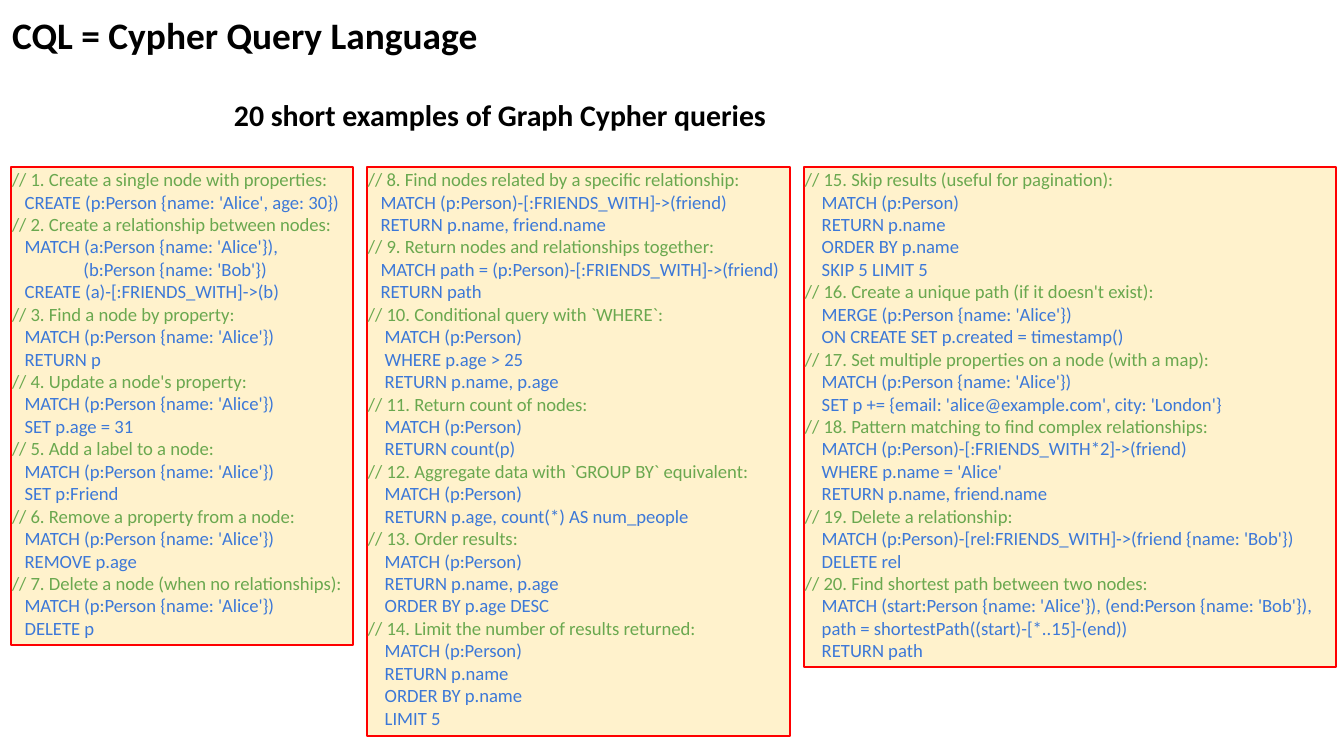
from dataclasses import dataclass

from pptx import Presentation
from pptx.dml.color import RGBColor
from pptx.enum.shapes import MSO_SHAPE
from pptx.enum.text import MSO_ANCHOR, MSO_AUTO_SIZE, PP_ALIGN
from pptx.util import Emu, Pt

TITLE = "CQL = Cypher Query Language"
SUBTITLE = "20 short examples of Graph Cypher queries"

# Each column: width in px, then (comment, code lines) per query
COLUMNS = [
    (342, [
        ("Create a single node with properties:",
         ["CREATE (p:Person {name: 'Alice', age: 30})"]),
        ("Create a relationship between nodes:",
         ["MATCH (a:Person {name: 'Alice'}),",
          "              (b:Person {name: 'Bob'})",
          "CREATE (a)-[:FRIENDS_WITH]->(b)"]),
        ("Find a node by property:",
         ["MATCH (p:Person {name: 'Alice'})", "RETURN p"]),
        ("Update a node's property:",
         ["MATCH (p:Person {name: 'Alice'})", "SET p.age = 31"]),
        ("Add a label to a node:",
         ["MATCH (p:Person {name: 'Alice'})", "SET p:Friend"]),
        ("Remove a property from a node:",
         ["MATCH (p:Person {name: 'Alice'})", "REMOVE p.age"]),
        ("Delete a node (when no relationships):",
         ["MATCH (p:Person {name: 'Alice'})", "DELETE p"]),
    ]),
    (423, [
        ("Find nodes related by a specific relationship:",
         ["MATCH (p:Person)-[:FRIENDS_WITH]->(friend)",
          "RETURN p.name, friend.name"]),
        ("Return nodes and relationships together:",
         ["MATCH path = (p:Person)-[:FRIENDS_WITH]->(friend)",
          "RETURN path"]),
        ("Conditional query with `WHERE`:",
         ["MATCH (p:Person)", "WHERE p.age > 25", "RETURN p.name, p.age"]),
        ("Return count of nodes:",
         ["MATCH (p:Person)", "RETURN count(p)"]),
        ("Aggregate data with `GROUP BY` equivalent:",
         ["MATCH (p:Person)", "RETURN p.age, count(*) AS num_people"]),
        ("Order results:",
         ["MATCH (p:Person)", "RETURN p.name, p.age",
          "ORDER BY p.age DESC"]),
        ("Limit the number of results returned:",
         ["MATCH (p:Person)", "RETURN p.name", "ORDER BY p.name",
          "LIMIT 5"]),
    ]),
    (532, [
        ("Skip results (useful for pagination):",
         ["MATCH (p:Person)", "RETURN p.name", "ORDER BY p.name",
          "SKIP 5 LIMIT 5"]),
        ("Create a unique path (if it doesn't exist):",
         ["MERGE (p:Person {name: 'Alice'})",
          "ON CREATE SET p.created = timestamp()"]),
        ("Set multiple properties on a node (with a map):",
         ["MATCH (p:Person {name: 'Alice'})",
          "SET p += {email: 'alice@example.com', city: 'London'}"]),
        ("Pattern matching to find complex relationships:",
         ["MATCH (p:Person)-[:FRIENDS_WITH*2]->(friend)",
          "WHERE p.name = 'Alice'", "RETURN p.name, friend.name"]),
        ("Delete a relationship:",
         ["MATCH (p:Person)-[rel:FRIENDS_WITH]->(friend {name: 'Bob'})",
          "DELETE rel"]),
        ("Find shortest path between two nodes:",
         ["MATCH (start:Person {name: 'Alice'}), (end:Person {name: 'Bob'}),",
          "path = shortestPath((start)-[*..15]-(end))", "RETURN path"]),
    ]),
]


@dataclass(frozen=True)
class Theme:
    font: str = "Calibri"
    ink: str = "000000"
    note: str = "6AA84F"
    code: str = "3C78D8"
    fill: str = "FFF2CC"
    edge: str = "FF0000"
    title: int = 20
    subtitle: int = 16
    body: int = 10


THEME = Theme()
LEFT, TOP, GAP = 11, 167, 14
PITCH = 22.75  # px per line of code


def px(n):
    return Emu(round(n * 914400 / 134.4))


def place(shape, x, y, w, h):
    shape.left, shape.top, shape.width, shape.height = map(px, (x, y, w, h))


def write(shape, lines, size, bold=False):
    """Fill the shape with one paragraph per (text, colour) pair."""
    frame = shape.text_frame
    frame.word_wrap = True
    frame.auto_size = MSO_AUTO_SIZE.SHAPE_TO_FIT_TEXT
    frame.vertical_anchor = MSO_ANCHOR.TOP
    frame.margin_left = frame.margin_right = px(1)
    frame.margin_top = frame.margin_bottom = px(1)
    for i, (text, color) in enumerate(lines):
        para = frame.add_paragraph() if i else frame.paragraphs[0]
        para.alignment = PP_ALIGN.LEFT
        run = para.add_run()
        run.text = text
        run.font.name = THEME.font
        run.font.size = Pt(size)
        run.font.bold = bold
        run.font.color.rgb = RGBColor.from_string(color)


def listing(queries, first):
    """Number the queries from first and indent their code."""
    lines = []
    for num, (note, code) in enumerate(queries, first):
        indent = " " * (3 if num < 10 else 4)
        lines.append((f"// {num}. {note}", THEME.note))
        lines += [(indent + line, THEME.code) for line in code]
    return lines


def main():
    prs = Presentation()
    prs.slide_width, prs.slide_height = px(1344), px(756)
    slide = prs.slides.add_slide(prs.slide_layouts[5])

    title = slide.shapes.title
    place(title, LEFT, 11, 493, 48)
    write(title, [(TITLE, THEME.ink)], THEME.title, True)

    subtitle = slide.shapes.add_textbox(0, 0, 0, 0)
    place(subtitle, 233, 96, 571, 39)
    write(subtitle, [(SUBTITLE, THEME.ink)], THEME.subtitle, True)

    x, first = LEFT, 1
    for width, queries in COLUMNS:
        lines = listing(queries, first)
        panel = slide.shapes.add_shape(MSO_SHAPE.RECTANGLE, 0, 0, 0, 0)
        place(panel, x, TOP, width, round(len(lines) * PITCH))
        panel.shadow.inherit = False
        panel.fill.solid()
        panel.fill.fore_color.rgb = RGBColor.from_string(THEME.fill)
        panel.line.color.rgb = RGBColor.from_string(THEME.edge)
        panel.line.width = Pt(0.75)
        write(panel, lines, THEME.body)
        x += width + GAP
        first += len(queries)

    prs.save("out.pptx")


if __name__ == "__main__":
    main()
